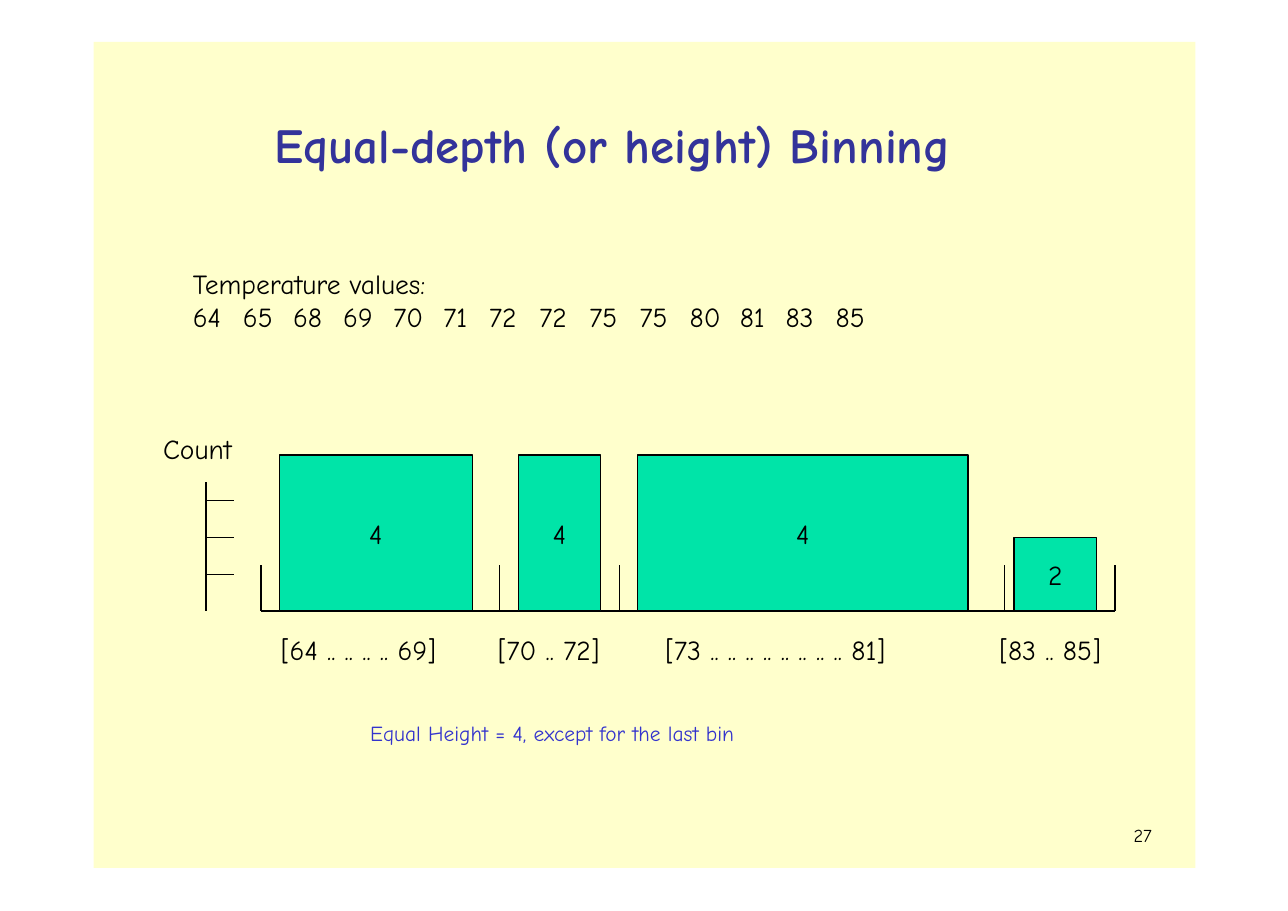
import pptx
import pptx.util
import pptx.dml.color
import pptx.enum.shapes
import pptx.enum.text
import pptx.oxml
import pptx.oxml.ns
import lxml.etree

THEME = {
    "font": "Comic Neue",
    "panel": "FFFFCC",
    "title": "33339A",
    "note": "3333CC",
    "bar": "00E4A8",
    "ink": "000000",
    "title_size": 32,
    "body_size": 18,
    "note_size": 14,
    "number_size": 12,
    "line": 0.78,
}
CELL = 1 / 12
LEFT, TOP = 0.87, 0.38
BASE_ROW, AXIS_COL, FIRST_COL, LAST_COL = 62, 12, 18, 111
ROWS_PER_COUNT = 4


def rgb(name):
    return pptx.dml.color.RGBColor.from_string(THEME[name])


def write(sp, text, size, color="ink", bold=False, before=1):
    tf = sp.text_frame
    tf.text = text
    tf.word_wrap = True
    tf.margin_left = tf.margin_right = tf.margin_bottom = 0
    tf.margin_top = pptx.util.Inches(0.01)
    for p in tf.paragraphs:
        for r in p.runs:
            r.font.name = THEME["font"]
            r.font.size = pptx.util.Pt(THEME[size])
            r.font.color.rgb = rgb(color)
            r.font.bold = bold
    tf.paragraphs[0].space_before = pptx.util.Pt(before)
    return tf


prs = pptx.Presentation()
prs.slide_width = pptx.util.Inches(11.69)
prs.slide_height = pptx.util.Inches(8.27)
s = prs.slides.add_slide(prs.slide_layouts[5])

panel = s.shapes.add_shape(
    pptx.enum.shapes.MSO_SHAPE.RECTANGLE,
    *[pptx.util.Inches(v) for v in (0.85, TOP, 10, 7.5)])
panel.shadow.inherit = False
panel.fill.solid()
panel.fill.fore_color.rgb = rgb("panel")
panel.line.fill.background()
s.shapes.element.insert(2, panel.element)

title = s.shapes.title
title.left, title.top, title.width, title.height = [
    pptx.util.Inches(v) for v in (2.49, 1.03, 6.77, 0.56)]
tf = write(title, "Equal-depth (or height) Binning", "title_size", "title", True)
tf.vertical_anchor = pptx.enum.text.MSO_ANCHOR.TOP
tf.auto_size = pptx.enum.text.MSO_AUTO_SIZE.NONE
tf.paragraphs[0].alignment = pptx.enum.text.PP_ALIGN.LEFT

temperatures = [64, 65, 68, 69, 70, 71, 72, 72, 75, 75, 80, 81, 83, 85]
readings = "Temperature values:\n" + "\t".join(map(str, temperatures))
texts = [
    (readings, 1.75, 2.41, 6.3, 0.63, "body_size", "ink", 1),
    ("Count", 1.48, 3.91, 0.75, 0.33, "body_size", "ink", 1),
    ("[64 .. .. .. .. 69]", 2.55, 5.74, 1.7, 0.33, "body_size", "ink", 1),
    ("[70 .. 72]", 4.52, 5.74, 1.1, 0.33, "body_size", "ink", 1),
    ("[73 .. .. .. .. .. .. .. .. 81]", 6.04, 5.74, 2.46, 0.33, "body_size", "ink", 1),
    ("[83 .. 85]", 9.07, 5.74, 1.1, 0.33, "body_size", "ink", 1),
    ("Equal Height = 4, except for the last bin", 3.36, 6.53, 3.69, 0.26, "note_size", "note", 1),
    ("27", 10.29, 7.47, 0.26, 0.26, "number_size", "ink", 2.2),
]
for text, x, y, w, h, size, color, before in texts:
    sp = s.shapes.add_textbox(*[pptx.util.Inches(v) for v in (x, y, w, h)])
    tf = write(sp, text, size, color, before=before)
    if text == readings:
        pPr = tf.paragraphs[1]._p.get_or_add_pPr()
        tabs = lxml.etree.SubElement(pPr, pptx.oxml.ns.qn("a:tabLst"))
        for i in range(1, len(temperatures)):
            stop = 0.455 * i - 0.04 * (i // 6)
            lxml.etree.SubElement(tabs, pptx.oxml.ns.qn("a:tab"),
                                  pos=str(pptx.util.Inches(stop)), algn="l")

lines = [(FIRST_COL, BASE_ROW, LAST_COL, BASE_ROW),
         (AXIS_COL, BASE_ROW - 14, AXIS_COL, BASE_ROW)]
for count in (1, 2, 3):
    row = BASE_ROW - ROWS_PER_COUNT * count
    lines.append((AXIS_COL, row, AXIS_COL + 3, row))
for col in (FIRST_COL, 44, 57, 99, LAST_COL):
    lines.append((col, BASE_ROW - 5, col, BASE_ROW))
for c1, r1, c2, r2 in lines:
    line = s.shapes.add_connector(
        pptx.enum.shapes.MSO_CONNECTOR.STRAIGHT,
        pptx.util.Inches(LEFT + c1 * CELL), pptx.util.Inches(TOP + r1 * CELL),
        pptx.util.Inches(LEFT + c2 * CELL), pptx.util.Inches(TOP + r2 * CELL))
    line.line.color.rgb = rgb("ink")
    line.line.width = pptx.util.Pt(THEME["line"])
    spPr = line.element.find(pptx.oxml.ns.qn("p:spPr"))
    lxml.etree.SubElement(spPr, pptx.oxml.ns.qn("a:effectLst"))

bars = [(20, 21, 17, "4"), (46, 9, 17, "4"), (59, 36, 17, "4"), (100, 9, 8, "2")]
for col, cols, rows, count in bars:
    bar = s.shapes.add_shape(
        pptx.enum.shapes.MSO_SHAPE.RECTANGLE,
        pptx.util.Inches(LEFT + col * CELL),
        pptx.util.Inches(TOP + (BASE_ROW - rows) * CELL),
        pptx.util.Inches(cols * CELL), pptx.util.Inches(rows * CELL))
    bar.shadow.inherit = False
    bar.fill.solid()
    bar.fill.fore_color.rgb = rgb("bar")
    bar.line.color.rgb = rgb("ink")
    bar.line.width = pptx.util.Pt(THEME["line"])
    tf = write(bar, count, "body_size")
    tf.vertical_anchor = pptx.enum.text.MSO_ANCHOR.MIDDLE
    tf.paragraphs[0].alignment = pptx.enum.text.PP_ALIGN.CENTER

prs.save("out.pptx")
